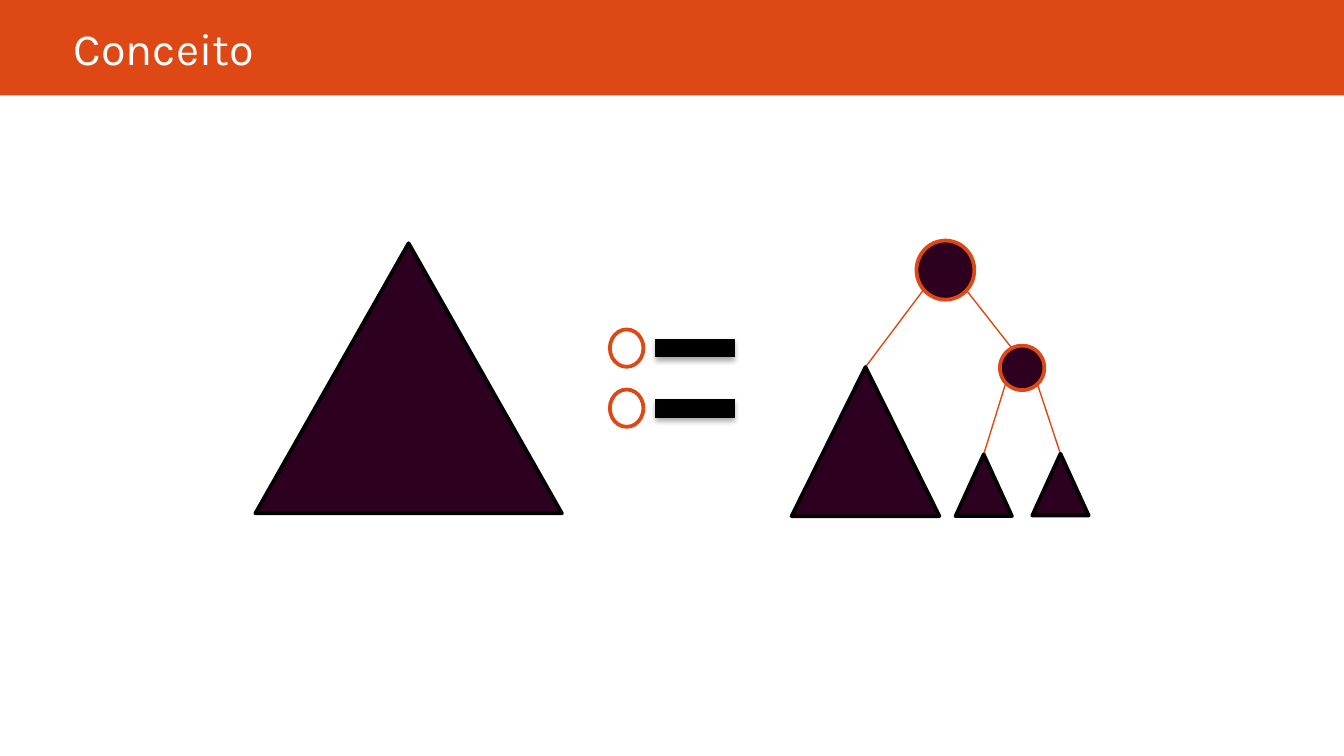
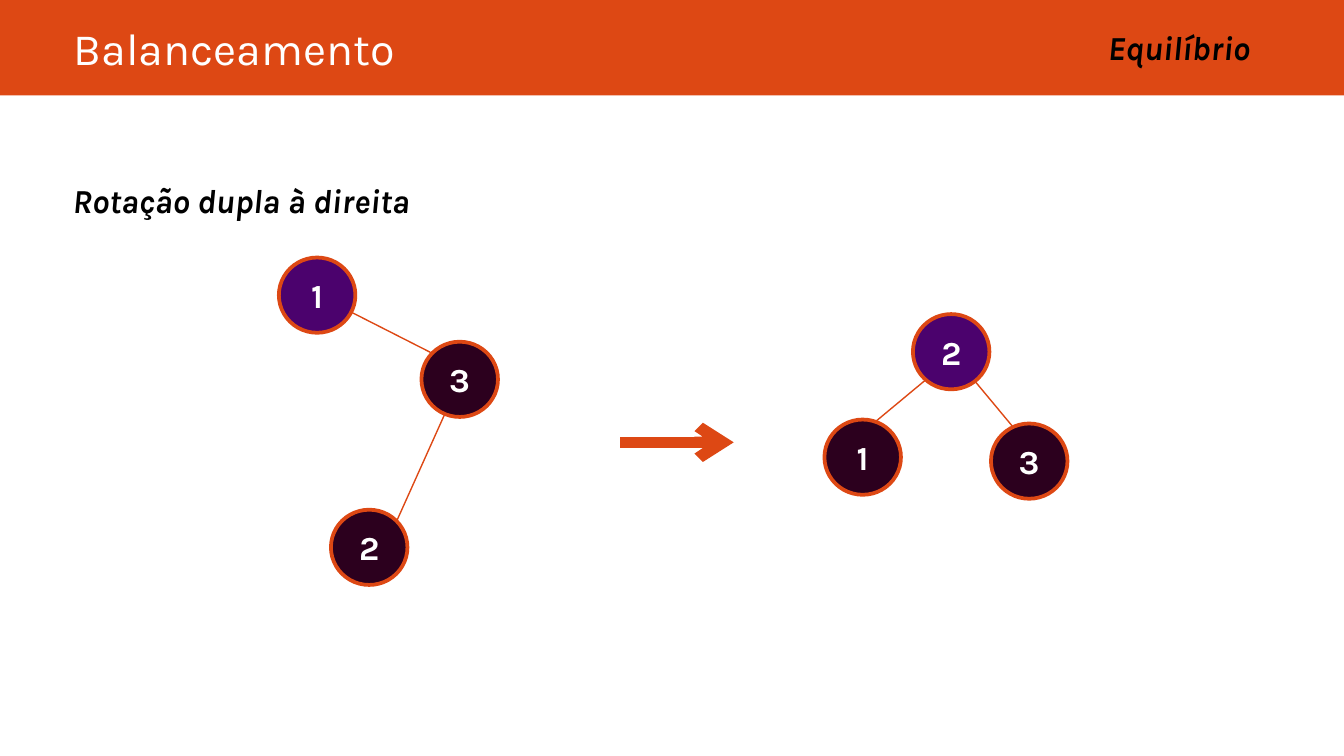
from dataclasses import dataclass
from typing import Optional

from lxml.etree import SubElement
from pptx import Presentation
from pptx.dml.color import RGBColor
from pptx.enum.shapes import MSO_CONNECTOR, MSO_SHAPE
from pptx.enum.text import MSO_ANCHOR, MSO_AUTO_SIZE, PP_ALIGN
from pptx.oxml.ns import qn
from pptx.util import Pt

ORANGE, DARK, PURPLE = "DD4814", "2C001E", "4B026D"
BLACK, WHITE = "000000", "FFFFFF"
FONT = "Karla"
SLIDE_W, SLIDE_H, BAND_H = 720, 405, 51.2
NODE_W, NODE_H = 41, 40.3

TITLE = dict(size=Pt(24), bold=False, italic=False)
HEADING = dict(size=Pt(18), bold=True, italic=True)
NODE_LABEL = dict(size=Pt(18), bold=True, italic=False)


@dataclass(frozen=True)
class Box:
    x: float
    y: float
    w: float
    h: float

    def pts(self) -> tuple:
        return Pt(self.x), Pt(self.y), Pt(self.w), Pt(self.h)


@dataclass(frozen=True)
class Edge:
    x1: float
    y1: float
    x2: float
    y2: float


@dataclass(frozen=True)
class Node:
    label: str
    x: float
    y: float
    fill: str = DARK


@dataclass(frozen=True)
class Tree:
    edges: tuple
    nodes: tuple


def rgb(color: str) -> RGBColor:
    return RGBColor.from_string(color)


# Text
def write(tf, text: str, fmt: dict, color: str, align=PP_ALIGN.LEFT) -> None:
    p = tf.paragraphs[0]
    p.alignment = align
    r = p.add_run()
    r.text = text
    for name, value in fmt.items():
        setattr(r.font, name, value)
    r.font.name = FONT
    r.font.color.rgb = rgb(color)


def add_heading(shapes, box: Box, text: str, align=PP_ALIGN.LEFT) -> None:
    tf = shapes.add_textbox(*box.pts()).text_frame
    tf.word_wrap = True
    tf.auto_size = MSO_AUTO_SIZE.SHAPE_TO_FIT_TEXT
    write(tf, text, HEADING, BLACK, align)


# Shapes and lines
def add_shape(shapes, kind, box: Box, fill: str, line: Optional[str] = None):
    sp = shapes.add_shape(kind, *box.pts())
    sp.shadow.inherit = False
    sp.fill.solid()
    sp.fill.fore_color.rgb = rgb(fill)
    if line is None:
        sp.line.fill.background()
    else:
        sp.line.color.rgb = rgb(line)
        sp.line.width = Pt(2)
    return sp


def add_circle(shapes, box: Box, fill: str = DARK):
    return add_shape(shapes, MSO_SHAPE.OVAL, box, fill, ORANGE)


def add_triangle(shapes, box: Box):
    sp = add_shape(shapes, MSO_SHAPE.ISOSCELES_TRIANGLE, box, DARK, BLACK)
    SubElement(sp.line._get_or_add_ln(), qn("a:round"))
    return sp


def add_line(shapes, edge: Edge, color: str = ORANGE, width: float = 0.75,
             arrow: bool = False, shadow: bool = False):
    cx = shapes.add_connector(MSO_CONNECTOR.STRAIGHT, Pt(edge.x1), Pt(edge.y1),
                              Pt(edge.x2), Pt(edge.y2))
    cx.line.color.rgb = rgb(color)
    cx.line.width = Pt(width)
    if arrow:
        SubElement(cx.line._get_or_add_ln(), qn("a:tailEnd"), type="arrow")
    effects = SubElement(cx._element.spPr, qn("a:effectLst"))
    if shadow:
        outer = SubElement(effects, qn("a:outerShdw"), blurRad=str(Pt(3.1)),
                           dist=str(Pt(1.8)), dir="5400000", rotWithShape="0")
        tint = SubElement(outer, qn("a:srgbClr"), val=BLACK)
        SubElement(tint, qn("a:alpha"), val="35000")
    return cx


# Slide frame: orange band with the title over it
def add_slide(prs, title: str):
    s = prs.slides.add_slide(prs.slide_layouts[5])
    band = add_shape(s.shapes, MSO_SHAPE.RECTANGLE,
                     Box(0, 0, SLIDE_W, BAND_H), ORANGE)
    s.shapes._spTree.insert(2, band._element)
    sp = s.shapes.title
    sp.left, sp.top, sp.width, sp.height = Box(32.4, 0, 651.6, BAND_H).pts()
    tf = sp.text_frame
    frame = dict(word_wrap=True, auto_size=MSO_AUTO_SIZE.NONE,
                 vertical_anchor=MSO_ANCHOR.MIDDLE)
    frame.update({f"margin_{side}": Pt(7.2)
                  for side in ("left", "top", "right", "bottom")})
    for name, value in frame.items():
        setattr(tf, name, value)
    write(tf, title, TITLE, WHITE)
    return s


def add_tree(s, tree: Tree) -> None:
    shapes = s.shapes.add_group_shape().shapes
    for edge in tree.edges:
        add_line(shapes, edge)
    for node in tree.nodes:
        sp = add_circle(shapes, Box(node.x, node.y, NODE_W, NODE_H), node.fill)
        sp.text_frame.vertical_anchor = MSO_ANCHOR.MIDDLE
        write(sp.text_frame, node.label, NODE_LABEL, WHITE, PP_ALIGN.CENTER)


def concept_slide(prs) -> None:
    s = add_slide(prs, "Conceito")
    shapes = s.shapes.add_group_shape().shapes
    add_triangle(shapes, Box(136.8, 130.3, 164.2, 144.7))

    # Tree: each subtree hangs by its apex from an edge
    add_line(shapes, Edge(517.7, 155.5, 550, 196.6))
    subtrees = (
        (494.6, 155.5, Box(424.1, 196.6, 79.2, 79.9)),
        (538.6, 205.9, Box(511.9, 243.4, 30.2, 33.1)),
        (555.8, 205.9, Box(553, 243.1, 30.2, 33.1)),
    )
    for x, y, box in subtrees:
        edge = add_line(shapes, Edge(x, y, box.x + box.w / 2, box.y))
        edge.end_connect(add_triangle(shapes, box), 0)
    for box in (Box(491, 128.9, 31, 31.7), Box(535.7, 185.2, 23.8, 23.8)):
        add_circle(shapes, box)

    # Equals sign: two rows of ring and bar
    for y in (186.5, 218.7):
        add_circle(shapes, Box(326.7, y - 10, 18, 20), WHITE)
        add_line(shapes, Edge(351.1, y, 393.6, y), BLACK, 10, shadow=True)


BEFORE = Tree(
    edges=(Edge(182.2, 164.2, 231.8, 189.4), Edge(241.9, 213.8, 212.4, 279.4)),
    nodes=(Node("1", 149.4, 138, PURPLE), Node("3", 225.8, 183.1),
           Node("2", 177.3, 273.1)),
)
AFTER = Tree(
    edges=(Edge(460.1, 233.3, 511.2, 190.8), Edge(499.7, 177.1, 542.9, 229)),
    nodes=(Node("1", 441.7, 224.8), Node("2", 489.1, 168.3, PURPLE),
           Node("3", 530.9, 226.9)),
)


def balancing_slide(prs) -> None:
    s = add_slide(prs, "Balanceamento")
    add_heading(s.shapes, Box(488.9, 10.8, 187.9, 29), "Equilíbrio", PP_ALIGN.RIGHT)
    for tree in (BEFORE, AFTER):
        add_tree(s, tree)
    add_heading(s.shapes, Box(31.9, 93.1, 285.8, 29), "Rotação dupla à direita")
    add_line(s.shapes, Edge(332.2, 237, 393.1, 237), width=6, arrow=True)


def main() -> None:
    prs = Presentation()
    prs.slide_width, prs.slide_height = Pt(SLIDE_W), Pt(SLIDE_H)
    concept_slide(prs)
    balancing_slide(prs)
    prs.save("out.pptx")


if __name__ == "__main__":
    main()
